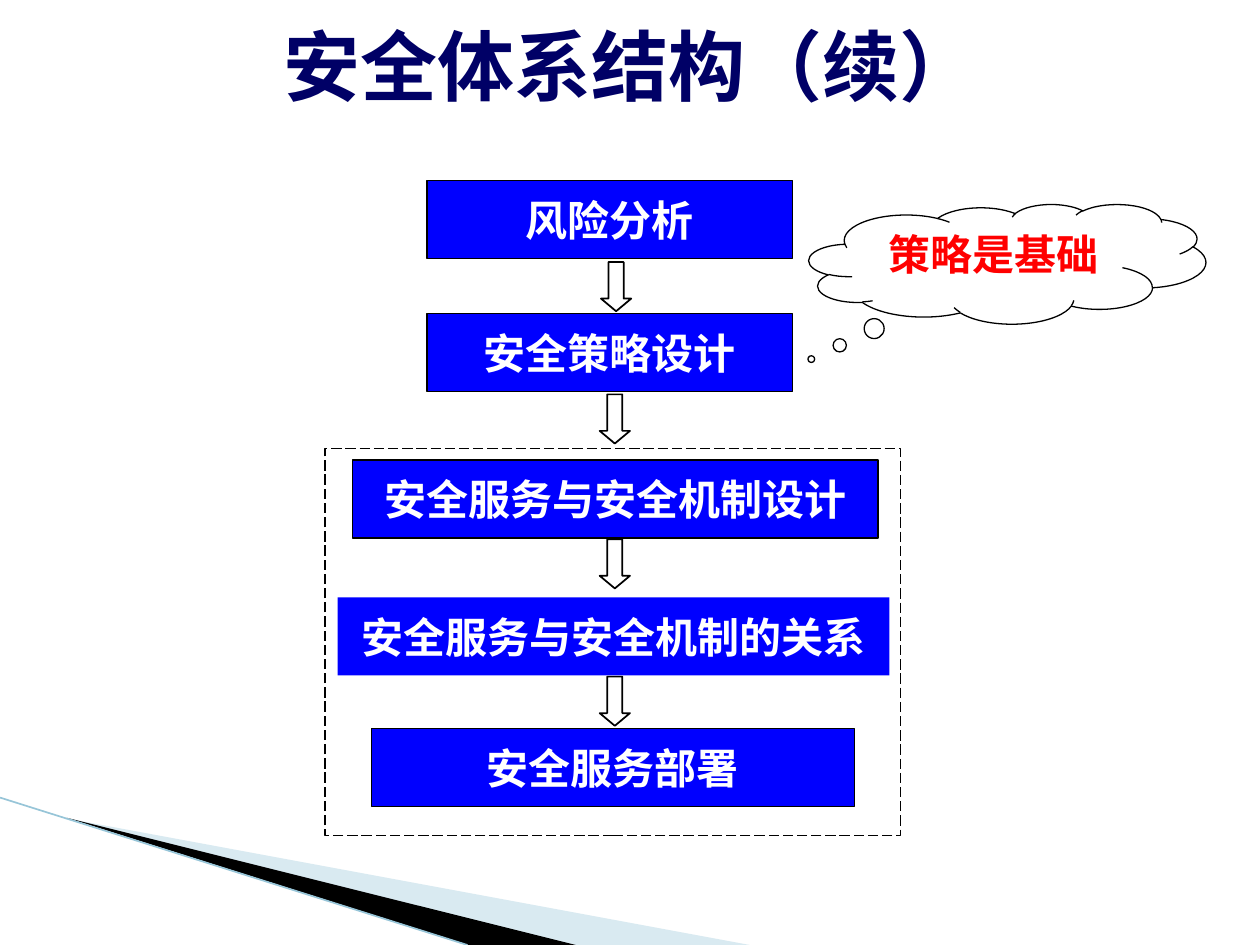
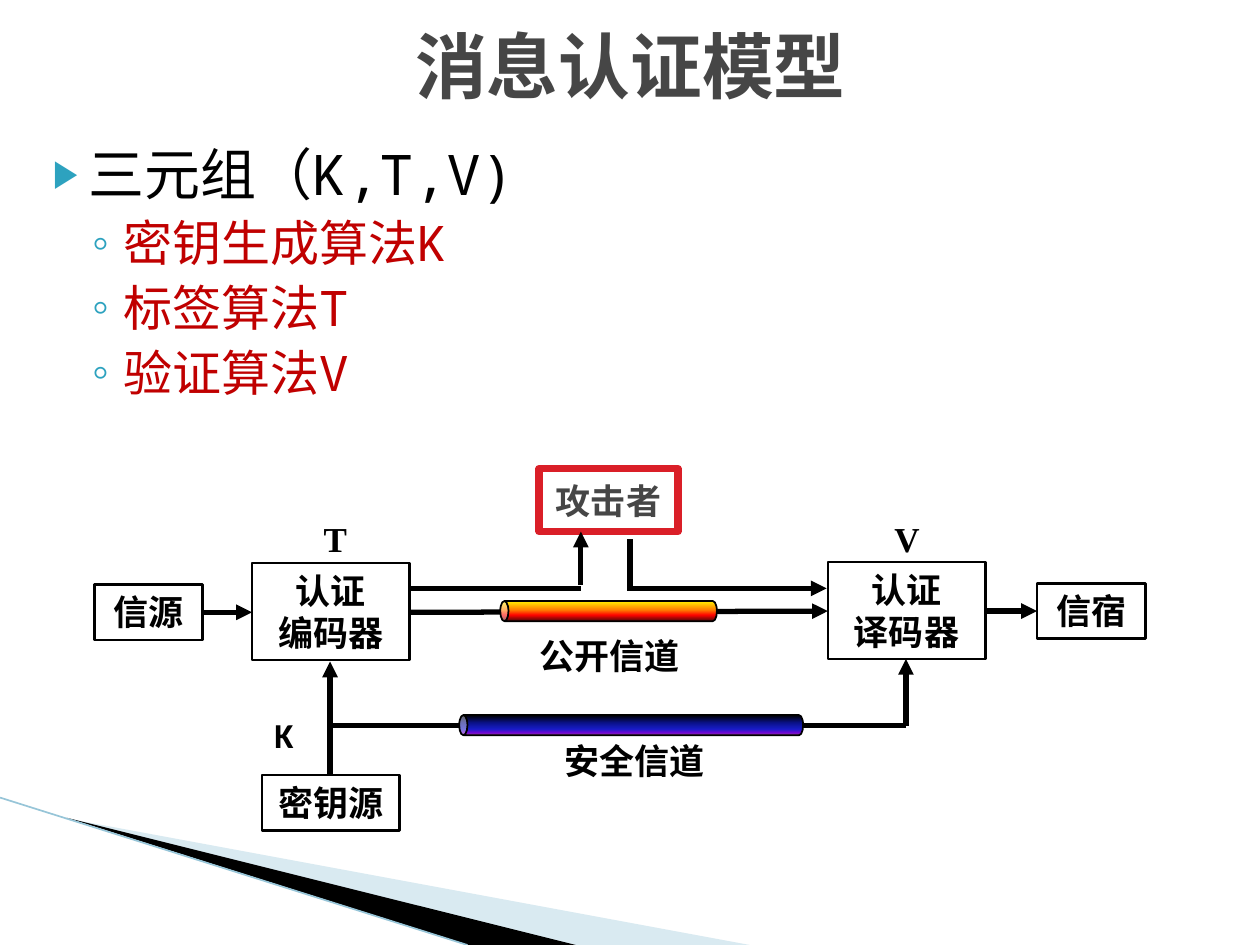
from lxml import etree
from pptx import Presentation
from pptx.dml.color import RGBColor
from pptx.enum import dml, shapes, text
from pptx.oxml.ns import qn
from pptx.util import Inches, Pt

BLACK = RGBColor(0x00, 0x00, 0x00)
WHITE = RGBColor(0xFF, 0xFF, 0xFF)
NAVY = RGBColor(0x00, 0x00, 0x66)
BLUE = RGBColor(0x00, 0x00, 0xFF)
RED = RGBColor(0xFF, 0x00, 0x00)
DARK_RED = RGBColor(0xC0, 0x00, 0x00)
ATTACK_RED = RGBColor(0xDA, 0x1F, 0x28)
GREY = RGBColor(0x46, 0x46, 0x46)
TEAL = RGBColor(0x2D, 0xA2, 0xBF)
PALE_TEAL = RGBColor(0xA0, 0xCB, 0xDC)
LINE_TEAL = RGBColor(0x97, 0xC5, 0xD8)

MONO = "Noto Sans Mono"
SHAPE = shapes.MSO_SHAPE
TOP, MIDDLE = text.MSO_ANCHOR.TOP, text.MSO_ANCHOR.MIDDLE
LEFT, CENTER = text.PP_ALIGN.LEFT, text.PP_ALIGN.CENTER


def put_text(shape, content, size=20, font=MONO, color=BLACK, bold=True,
             align=CENTER, anchor=TOP, wrap=True):
    """Fill a shape with one paragraph per line of content."""
    frame = shape.text_frame
    frame.text = content
    frame.word_wrap = wrap
    frame.vertical_anchor = anchor
    frame.auto_size = text.MSO_AUTO_SIZE.NONE
    for paragraph in frame.paragraphs:
        paragraph.alignment = align
        for run in paragraph.runs:
            run.font.size = Pt(size)
            run.font.name = font
            run.font.bold = bold
            run.font.color.rgb = color


def style(shape, fill=None, line=None, width=0.75):
    """Set fill and outline of a shape or connector, and drop its shadow."""
    if line is None:
        shape.line.fill.background()
    else:
        shape.line.color.rgb = line
        shape.line.width = Pt(width)
    if fill is not None:
        shape.fill.solid()
        shape.fill.fore_color.rgb = fill
    elif hasattr(shape, "fill"):
        shape.fill.background()
    etree.SubElement(shape._element.spPr, qn("a:effectLst"))


presentation = Presentation()
presentation.slide_width = Inches(10)
presentation.slide_height = Inches(7.5)

# Shared title style and corner wedges
wedges = [
    (PALE_TEAL, [(0.55, 6.5), (5.95, 7.5), (4.56, 7.5)]),
    (BLACK, [(0.53, 6.49), (4.57, 7.5), (3.72, 7.5)]),
]
titles = [
    (5, "安全体系结构（续）", 44, NAVY),
    (1, "消息认证模型", 41, GREY),
]
for layout, title_text, size, color in titles:
    slide = presentation.slides.add_slide(presentation.slide_layouts[layout])
    for wedge_color, points in wedges:
        builder = slide.shapes.build_freeform(
            Inches(points[0][0]), Inches(points[0][1]))
        builder.add_line_segments(
            [(Inches(x), Inches(y)) for x, y in points[1:]])
        wedge = builder.convert_to_shape()
        style(wedge, wedge_color)
        if wedge_color == PALE_TEAL:
            solid_color = wedge._element.spPr.find(".//" + qn("a:srgbClr"))
            etree.SubElement(solid_color, qn("a:alpha"), val="40000")
    edge = slide.shapes.add_connector(
        shapes.MSO_CONNECTOR.STRAIGHT,
        Inches(0), Inches(6.33), Inches(3.71), Inches(7.5))
    style(edge, line=LINE_TEAL, width=0.95)
    title = slide.shapes.title
    title.left, title.top = Inches(0.2), Inches(0.05)
    title.width, title.height = Inches(9.61), Inches(0.93)
    put_text(title, title_text, size=size, color=color, anchor=MIDDLE)

architecture, authentication = presentation.slides

# Slide 1: security architecture steps
cloud = architecture.shapes.add_shape(
    SHAPE.CLOUD_CALLOUT, Inches(6.42), Inches(1.62), Inches(3.15), Inches(0.95))
cloud.adjustments[0], cloud.adjustments[1] = -0.494, 0.795
style(cloud, WHITE, BLACK)
put_text(cloud, "策略是基础", size=24, font="Cabin", color=RED)

frame_box = architecture.shapes.add_shape(
    SHAPE.RECTANGLE, Inches(2.58), Inches(3.56), Inches(4.57), Inches(3.07))
style(frame_box, WHITE, BLACK)
frame_box.line.dash_style = dml.MSO_LINE.LONG_DASH

steps = [
    ("风险分析", 3.39, 1.43, 2.9, BLACK),
    ("安全策略设计", 3.39, 2.49, 2.9, BLACK),
    ("安全服务与安全机制设计", 2.8, 3.65, 4.17, BLACK),
    ("安全服务与安全机制的关系", 2.68, 4.74, 4.38, None),
    ("安全服务部署", 2.95, 5.78, 3.83, BLACK),
]
for label, left, top, width, outline in steps:
    step = architecture.shapes.add_shape(
        SHAPE.RECTANGLE, Inches(left), Inches(top), Inches(width), Inches(0.62))
    style(step, BLUE, outline)
    put_text(step, label, size=24, font="Cabin", color=WHITE,
             anchor=MIDDLE, wrap=False)

for left, top in [(4.77, 2.08), (4.76, 3.13), (4.76, 4.28), (4.76, 5.37)]:
    arrow = architecture.shapes.add_shape(
        SHAPE.DOWN_ARROW, Inches(left), Inches(top), Inches(0.24), Inches(0.39))
    arrow.adjustments[0], arrow.adjustments[1] = 0.5, 0.417
    style(arrow, line=BLACK, width=1)

# Slide 2: bulleted triple
body = authentication.placeholders[1]
body.left, body.top = Inches(0.2), Inches(1.06)
body.width, body.height = Inches(9.61), Inches(5.58)
put_text(body, "三元组（K,T,V)\n密钥生成算法K\n标签算法T\n验证算法V",
         size=28, color=DARK_RED, bold=False, align=LEFT)
for index, paragraph in enumerate(body.text_frame.paragraphs):
    is_head = index == 0
    paragraph.level = 0 if is_head else 1
    properties = paragraph._p.get_or_add_pPr()
    properties.set("marL", str(Inches(0.4 if is_head else 0.68)))
    properties.set("indent", str(Inches(-0.28 if is_head else -0.25)))
    bullet_color = etree.SubElement(properties, qn("a:buClr"))
    etree.SubElement(bullet_color, qn("a:srgbClr"), val=str(TEAL))
    etree.SubElement(properties, qn("a:buSzPct"),
                     val="68000" if is_head else "100000")
    etree.SubElement(properties, qn("a:buChar"), char="▶" if is_head else "◦")
    paragraph.space_before = Pt(0 if is_head else 3.2)
    paragraph.line_spacing = Pt(38.5 if is_head else 33.7)
    if is_head:
        paragraph.runs[0].font.size = Pt(32)
        paragraph.runs[0].font.color.rgb = BLACK

# Slide 2: message authentication model
nodes = [
    ("信源", 0.75, 4.64, 0.86, 0.44),
    ("密钥源", 2.08, 6.15, 1.09, 0.44),
    ("认证\n编码器", 2, 4.47, 1.25, 0.77),
    ("认证\n译码器", 6.57, 4.46, 1.25, 0.77),
    ("信宿", 8.23, 4.63, 0.86, 0.44),
]
for label, left, top, width, height in nodes:
    node = authentication.shapes.add_shape(
        SHAPE.RECTANGLE, Inches(left), Inches(top), Inches(width), Inches(height))
    style(node, WHITE, BLACK, 1.5)
    put_text(node, label)

attacker = authentication.shapes.add_shape(
    SHAPE.RECTANGLE, Inches(4.28), Inches(3.72), Inches(1.1), Inches(0.5))
style(attacker, WHITE, ATTACK_RED, 4.33)
put_text(attacker, "攻击者", font="Times New Roman", color=GREY,
         anchor=MIDDLE, wrap=False)

links = [
    (1.61, 4.86, 2, 4.86, True),
    (2.62, 6.15, 2.62, 5.25, True),
    (7.19, 5.76, 7.19, 5.23, True),
    (2.62, 5.76, 7.19, 5.76, False),
    (3.25, 4.86, 6.57, 4.85, True),
    (7.82, 4.85, 8.23, 4.85, True),
    (4.61, 4.64, 4.61, 4.22, True),
    (5, 4.69, 5, 4.28, False),
    (5, 4.67, 6.56, 4.67, True),
    (3.25, 4.67, 4.61, 4.67, False),
]
for x1, y1, x2, y2, has_arrow in links:
    link = authentication.shapes.add_connector(
        shapes.MSO_CONNECTOR.STRAIGHT,
        Inches(x1), Inches(y1), Inches(x2), Inches(y2))
    style(link, line=BLACK, width=3)
    if has_arrow:
        etree.SubElement(link.line._get_or_add_ln(), qn("a:tailEnd"),
                         type="triangle")

channels = [
    (4.93, 4.39, 2.73, [(0, "000000"), (40, "0A128C"), (70, "181CC7"),
                        (88, "7005D4"), (100, "8C3D91")]),
    (4.75, 3.99, 1.72, [(0, "FFF200"), (45, "FF7A00"), (70, "FF0300"),
                        (100, "4D0808")]),
]
for left, top, length, stops in channels:
    channel = authentication.shapes.add_shape(
        SHAPE.CAN, Inches(left), Inches(top), Inches(0.16), Inches(length))
    channel.rotation = 270
    channel.adjustments[0] = 0.409
    style(channel, line=BLACK, width=1)
    channel.fill.gradient()
    channel.fill.gradient_angle = 180
    stop_list = channel._element.spPr.find(".//" + qn("a:gsLst"))
    for old_stop in list(stop_list):
        stop_list.remove(old_stop)
    for position, color in stops:
        stop = etree.SubElement(stop_list, qn("a:gs"), pos=str(position * 1000))
        etree.SubElement(stop, qn("a:srgbClr"), val=color)

labels = [
    ("K", 2.08, 5.61, 0.36, "Calibri"),
    ("公开信道", 4.18, 4.99, 1.32, "Calibri"),
    ("安全信道", 4.38, 5.82, 1.33, "Calibri"),
    ("T", 2.47, 4.06, 0.39, "Times New Roman"),
    ("V", 7, 4.06, 0.43, "Times New Roman"),
]
for label, left, top, width, font in labels:
    box = authentication.shapes.add_textbox(
        Inches(left), Inches(top), Inches(width), Inches(0.44))
    put_text(box, label, font=font, align=LEFT, wrap=False)

presentation.save("out.pptx")
